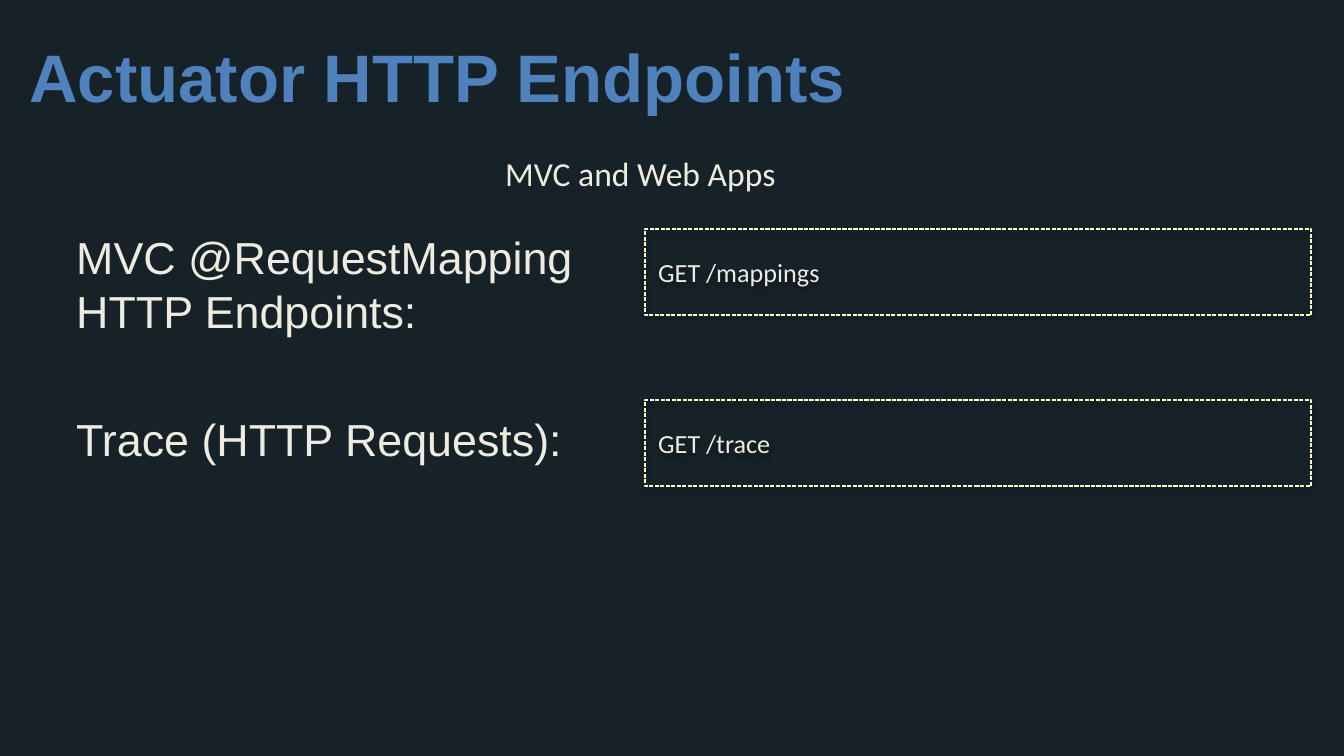
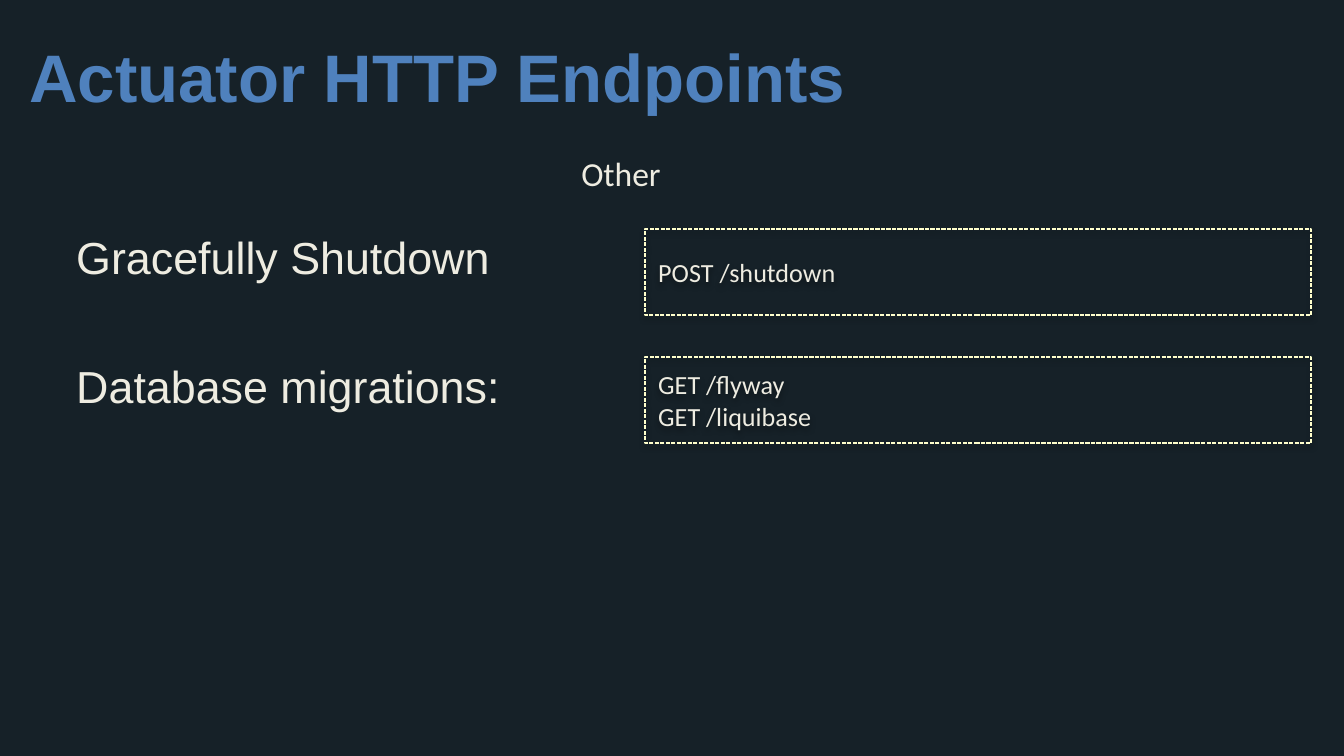
from lxml.etree import SubElement
from pptx import Presentation
from pptx.dml.color import RGBColor
from pptx.enum.dml import MSO_LINE
from pptx.enum.shapes import MSO_SHAPE
from pptx.enum.text import MSO_ANCHOR as ANCHOR, MSO_AUTO_SIZE as AUTO, PP_ALIGN as ALIGN
from pptx.oxml.ns import qn
from pptx.util import Emu, Pt

COLORS = {"background": "162128", "title": "4F81BD", "text": "EEECE1",
          "border": "FFFFCC", "shadow": "000000"}
FORMATS = {
    "title": {"size": Pt(36), "name": "Arial", "bold": True},
    "label": {"size": Pt(24), "name": "Arial"},
    "section": {"size": Pt(18), "name": "Calibri"},
    "request": {"size": Pt(14), "name": "Calibri"},
}


def px(pixels):
    return Emu(round(pixels * 914400 / 134.4))


def rgb(name):
    return RGBColor.from_string(COLORS[name])


class Deck:
    def __init__(self):
        self.file = Presentation()
        self.file.slide_width, self.file.slide_height = px(1344), px(756)

    def start_slide(self):
        self.slide = self.file.slides.add_slide(self.file.slide_layouts[6])
        fill = self.slide.background.fill
        fill.solid()
        fill.fore_color.rgb = rgb("background")

    def add_lines(self, frame, lines, style, color="text", gap=0):
        for index, line in enumerate(lines):
            paragraph = frame.paragraphs[0] if index == 0 else frame.add_paragraph()
            paragraph.alignment = ALIGN.LEFT
            if index:
                paragraph.space_before = Pt(gap)
            run = paragraph.add_run()
            run.text = line
            for attribute, value in FORMATS[style].items():
                setattr(run.font, attribute, value)
            run.font.color.rgb = rgb(color)

    def text_box(self, box, wrap=True, top_inset=7):
        frame = self.slide.shapes.add_textbox(*map(px, box)).text_frame
        frame.word_wrap = wrap
        frame.margin_top = px(top_inset)
        return frame

    def title(self, text):
        frame = self.text_box((16, 22, 1293, 70), top_inset=13)
        self.add_lines(frame, [text], "title", "title")

    def section(self, text, left, width):
        frame = self.text_box((left, 146, width, 54), wrap=False)
        frame.auto_size = AUTO.SHAPE_TO_FIT_TEXT
        self.add_lines(frame, [text], "section")

    def labels(self, lines):
        frame = self.text_box((63, 146, 582, 597), top_inset=84)
        self.add_lines(frame, lines, "label", gap=40)

    def request_box(self, top, lines):
        box = self.slide.shapes.add_shape(MSO_SHAPE.RECTANGLE, *map(px, (645, top, 666, 86)))
        box.fill.background()
        box.line.color.rgb = rgb("border")
        box.line.width = Pt(0.75)
        box.line.dash_style = MSO_LINE.SQUARE_DOT
        self.soft_shadow(box)
        box.text_frame.word_wrap = True
        box.text_frame.vertical_anchor = ANCHOR.MIDDLE
        self.add_lines(box.text_frame, lines, "request")

    def soft_shadow(self, shape):
        shape.shadow.inherit = False
        effects = shape.element.spPr.find(qn("a:effectLst"))
        shadow = SubElement(effects, qn("a:outerShdw"), blurRad=str(Pt(3.1)),
                            dist=str(Pt(1.8)), dir="5400000", rotWithShape="0")
        color = SubElement(shadow, qn("a:srgbClr"), val=COLORS["shadow"])
        SubElement(color, qn("a:alpha"), val="35000")


# Section name, its left and width, labels, and request boxes by top
ENDPOINTS = [
    ("MVC and Web Apps", 492, 302,
     ["MVC @RequestMapping HTTP Endpoints:", "Trace (HTTP Requests):"],
     {229: ["GET /mappings"], 400: ["GET /trace"]}),
    ("Other", 568, 108,
     ["Gracefully Shutdown", "Database migrations:"],
     {229: ["POST /shutdown"], 357: ["GET /flyway", "GET /liquibase"]}),
]

deck = Deck()
for section, left, width, labels, requests in ENDPOINTS:
    deck.start_slide()
    deck.title("Actuator HTTP Endpoints")
    deck.labels(labels)
    for top, lines in requests.items():
        deck.request_box(top, lines)
    deck.section(section, left, width)

deck.file.save("out.pptx")
